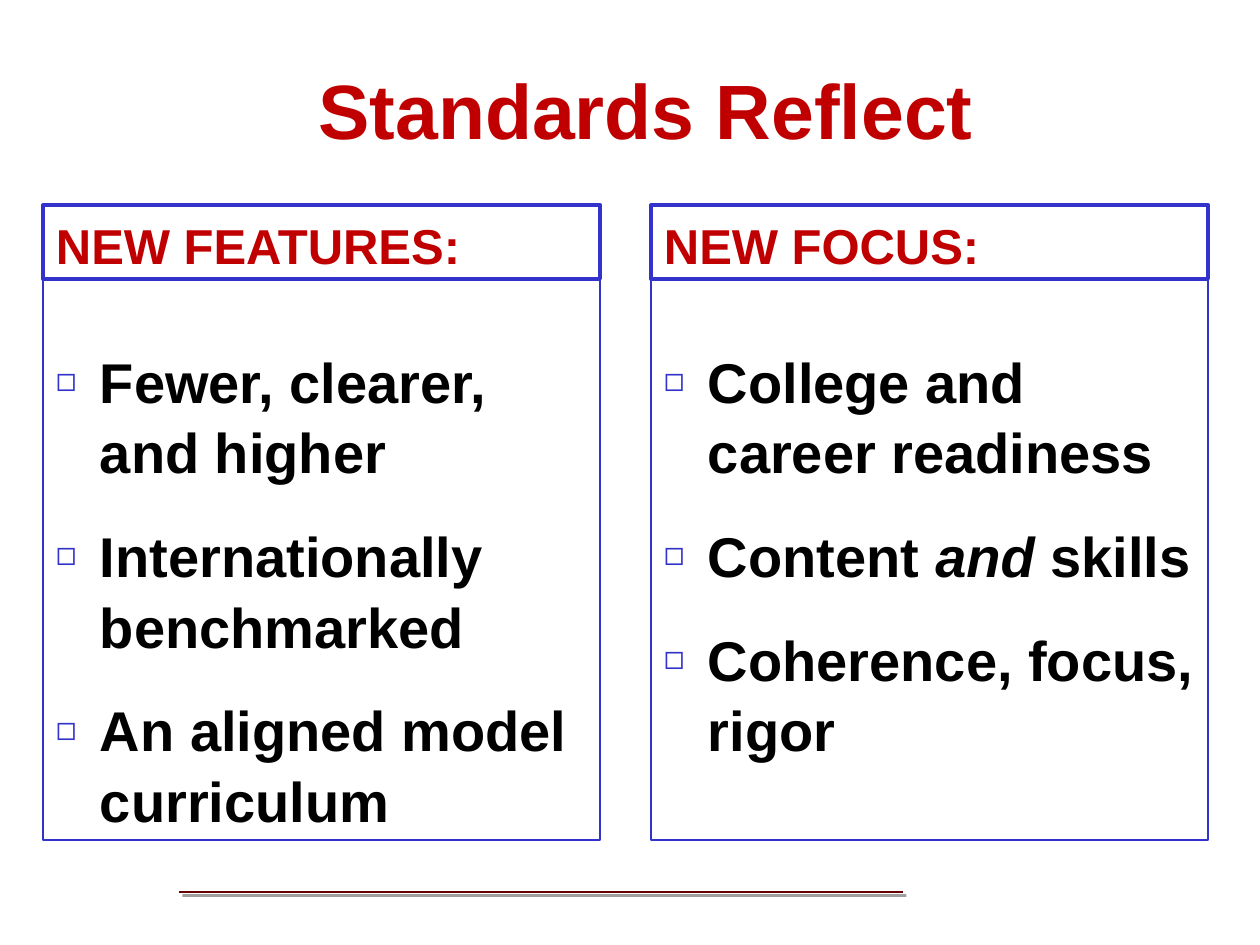
"""Build the Standards Reflect slide with two bulleted panels."""
import pptx
import pptx.util
import pptx.dml.color
import pptx.enum.shapes
import pptx.enum.text
import pptx.oxml
import pptx.oxml.ns

TITLE = "Standards Reflect"
PANELS = [
    ("NEW FEATURES:", [
        [("Fewer, clearer, and higher", False)],
        [("Internationally benchmarked", False)],
        [("An aligned model curriculum", False)],
    ]),
    ("NEW FOCUS:", [
        [("College and career readiness", False)],
        [("Content ", False), ("and", True), (" skills", False)],
        [("Coherence, focus, rigor", False)],
    ]),
]
RED, BLUE, BLACK, WHITE, MAROON = "C00000", "3333CC", "000000", "FFFFFF", "660000"
LEFT, STEP, WIDE = 43, 608, 557
HEAD, BODY = (205, 74), (280, 560)
RULE = (179, 892, 903, 892)
INDENT = 44
NS = pptx.oxml.ns.nsdecls("a")
ANCHOR = pptx.enum.text.MSO_ANCHOR
SHADOW = (
    f'<a:effectLst {NS}><a:outerShdw dist="35560" dir="2700000">'
    '<a:srgbClr val="808080"><a:alpha val="75000"/></a:srgbClr>'
    '</a:outerShdw></a:effectLst>'
)
BULLET = (
    f'<a:buClr {NS}><a:srgbClr val="{BLUE}"/></a:buClr>',
    f'<a:buSzPct {NS} val="60000"/>',
    f'<a:buFont {NS} typeface="Arial"/>',
    f'<a:buChar {NS} char="◻"/>',
)


def px(n):
    return pptx.util.Emu(n * 914400 // 126)


def color(code):
    return pptx.dml.color.RGBColor.from_string(code)


def write(para, runs, size, code):
    for text, slant in runs:
        run = para.add_run()
        run.text = text
        font = run.font
        font.name, font.size = "Arial", pptx.util.Pt(size)
        font.bold, font.italic = True, slant
        font.color.rgb = color(code)


def setup(frame, anchor, top, base):
    frame.word_wrap = True
    frame.vertical_anchor = anchor
    frame.margin_left = frame.margin_right = px(13)
    frame.margin_top, frame.margin_bottom = px(top), px(base)


def panel(slide, left, span, weight, anchor, top, base):
    kind = pptx.enum.shapes.MSO_SHAPE.RECTANGLE
    box = slide.shapes.add_shape(kind, px(left), px(span[0]), px(WIDE), px(span[1]))
    box.shadow.inherit = False
    box.fill.solid()
    box.fill.fore_color.rgb = color(WHITE)
    box.line.color.rgb = color(BLUE)
    box.line.width = pptx.util.Pt(weight)
    setup(box.text_frame, anchor, top, base)
    return box.text_frame


def bullets(frame, items):
    for i, runs in enumerate(items):
        para = frame.add_paragraph() if i else frame.paragraphs[0]
        para.alignment = pptx.enum.text.PP_ALIGN.LEFT
        para.line_spacing = 1.05
        para.space_before = pptx.util.Pt(7 if i else 0)
        para.space_after = pptx.util.Pt(12)
        props = para._p.get_or_add_pPr()
        props.set("marL", str(px(INDENT)))
        props.set("indent", str(-px(INDENT)))
        for xml in BULLET:
            props.append(pptx.oxml.parse_xml(xml))
        write(para, runs, 32, BLACK)


def main():
    deck = pptx.Presentation()
    deck.slide_width, deck.slide_height = px(1260), px(945)
    slide = deck.slides.add_slide(deck.slide_layouts[6])

    rule = slide.shapes.add_connector(
        pptx.enum.shapes.MSO_CONNECTOR.STRAIGHT, *map(px, RULE))
    rule.line.color.rgb = color(MAROON)
    rule.line.width = pptx.util.Pt(1.5)
    rule._element.spPr.append(pptx.oxml.parse_xml(SHADOW))

    for i, (head, items) in enumerate(PANELS):
        left = LEFT + i * STEP
        bullets(panel(slide, left, BODY, 0.75, ANCHOR.TOP, 64, 6), items)
        para = panel(slide, left, HEAD, 2.25, ANCHOR.BOTTOM, 6, 5).paragraphs[0]
        para.alignment = pptx.enum.text.PP_ALIGN.LEFT
        write(para, [(head, False)], 28, RED)

    box = slide.shapes.add_textbox(px(32), px(38), px(1228), px(141))
    setup(box.text_frame, ANCHOR.MIDDLE, 6, 6)
    para = box.text_frame.paragraphs[0]
    para.alignment = pptx.enum.text.PP_ALIGN.CENTER
    write(para, [(TITLE, False)], 44, RED)
    deck.save("out.pptx")


if __name__ == "__main__":
    main()
